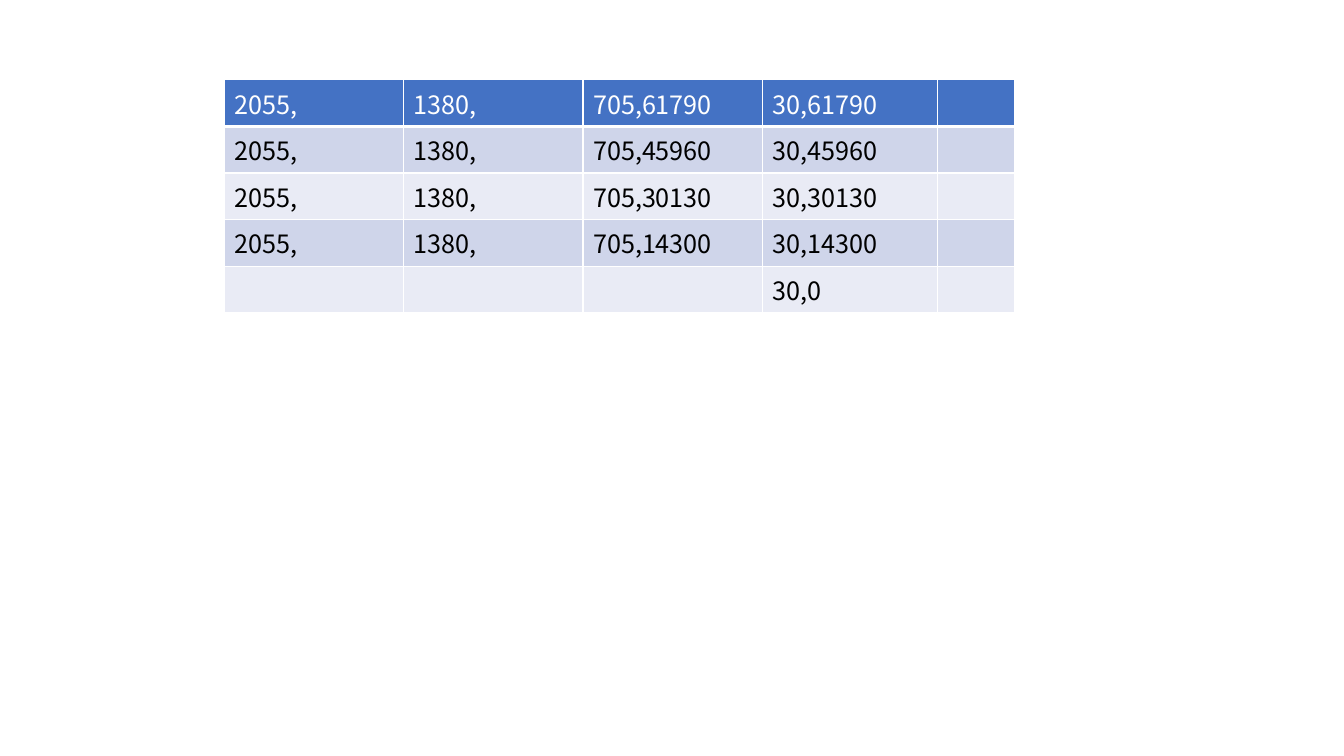
from lxml import etree
from pptx import Presentation
from pptx.dml.color import RGBColor
from pptx.oxml.ns import qn
from pptx.util import Pt

ROWS = [
    ("2055,", "1380,", "705,61790", "30,61790", ""),
    ("2055,", "1380,", "705,45960", "30,45960", ""),
    ("2055,", "1380,", "705,30130", "30,30130", ""),
    ("2055,", "1380,", "705,14300", "30,14300", ""),
    ("", "", "", "30,0", ""),
]
COLUMN_WIDTHS = (128, 128, 128, 125, 55.2)
ROW_HEIGHT = 29.2
LEFT, TOP = 160.5, 57
FONT, FONT_SIZE = "Noto Sans CJK SC", 18
WHITE, BLACK, HEADER = "FFFFFF", "000000", "4472C4"
BANDS = ("E9EBF5", "CFD5EA")
THIN, THICK = 1, 3


def paint(color_format, color):
    color_format.rgb = RGBColor.from_string(color)


def add_border(cell, side, width):
    properties = cell._tc.get_or_add_tcPr()
    line = etree.SubElement(properties, qn(f"a:ln{side}"), w=str(Pt(width)))
    fill = etree.SubElement(line, qn("a:solidFill"))
    etree.SubElement(fill, qn("a:srgbClr"), val=WHITE)


def format_cell(cell, text, row_index):
    is_header = row_index == 0
    widths = {
        "L": THIN,
        "R": THIN,
        "T": THICK if row_index == 1 else THIN,
        "B": THICK if is_header else THIN,
    }
    for side, width in widths.items():
        add_border(cell, side, width)
    cell.fill.solid()
    paint(cell.fill.fore_color, HEADER if is_header else BANDS[row_index % 2])
    cell.text_frame.text = text
    paragraph = cell.text_frame.paragraphs[0]
    for font in [paragraph.font] + [run.font for run in paragraph.runs]:
        font.name = FONT
        font.size = Pt(FONT_SIZE)
        paint(font.color, WHITE if is_header else BLACK)


def add_number_table(slide):
    shape = slide.shapes.add_table(
        len(ROWS), len(COLUMN_WIDTHS), Pt(LEFT), Pt(TOP),
        Pt(sum(COLUMN_WIDTHS)), Pt(ROW_HEIGHT * len(ROWS)))
    table = shape.table
    table.first_row = False
    table.horz_banding = False
    for column, width in zip(table.columns, COLUMN_WIDTHS):
        column.width = Pt(width)
    for row_index, (row, texts) in enumerate(zip(table.rows, ROWS)):
        row.height = Pt(ROW_HEIGHT)
        for cell, text in zip(row.cells, texts):
            format_cell(cell, text, row_index)


def main():
    """Build a slide with one banded table of numbers."""
    presentation = Presentation()
    presentation.slide_width = Pt(960)
    presentation.slide_height = Pt(540)
    slide = presentation.slides.add_slide(presentation.slide_layouts[6])
    add_number_table(slide)
    presentation.save("out.pptx")


if __name__ == "__main__":
    main()
